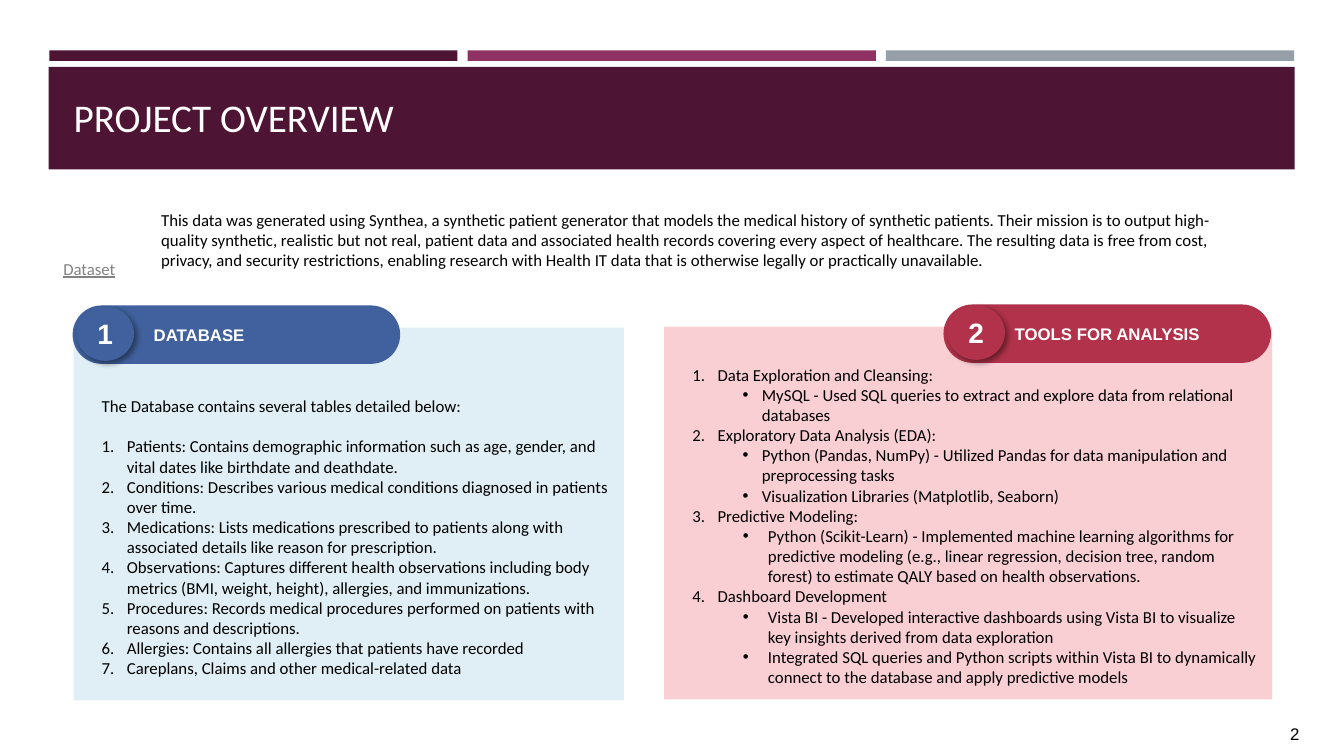
"""Build the project overview slide with its database and tools panels."""
from dataclasses import dataclass

from lxml.etree import SubElement
from pptx import Presentation
from pptx.dml.color import RGBColor
from pptx.enum.shapes import MSO_SHAPE as Shape
from pptx.enum.text import MSO_ANCHOR as Anchor, MSO_AUTO_SIZE as AutoSize, PP_ALIGN as Align
from pptx.oxml.ns import qn
from pptx.util import Pt

PLUM = RGBColor(0x4D, 0x14, 0x34)
MAGENTA = RGBColor(0x90, 0x31, 0x63)
STEEL = RGBColor(0x96, 0x9F, 0xA7)
BLUE = RGBColor(0x40, 0x61, 0x9D)
PALE_BLUE = RGBColor(0xE0, 0xEF, 0xF5)
RED = RGBColor(0xB2, 0x32, 0x4B)
PALE_RED = RGBColor(0xF9, 0xCF, 0xD4)
GREY = RGBColor(0x82, 0x82, 0x82)
BLACK = RGBColor(0, 0, 0)
WHITE = RGBColor(0xFF, 0xFF, 0xFF)


@dataclass(frozen=True)
class Box:
    left: float
    top: float
    width: float
    height: float


@dataclass(frozen=True)
class Item:
    text: str
    marker: str = "number"
    indent: float = 31
    hanging: float = 18
    before: float = 0


@dataclass(frozen=True)
class Panel:
    number: str
    heading: str
    body: Box
    tab_left: float
    heading_align: Align
    heading_inset: float
    bottom_inset: float
    dark: RGBColor
    pale: RGBColor
    items: tuple[Item, ...]


def near_bullet(text: str) -> Item:
    return Item(text, "bullet", 62.64, 13.68)


def far_bullet(text: str) -> Item:
    return Item(text, "bullet", 67, 18)


PANELS = (
    Panel("1", "DATABASE", Box(52.56, 234, 393.12, 266.4), 51.84, Align.LEFT, 51.84, 3.6, BLUE, PALE_BLUE, (
        Item("The Database contains several tables detailed below:", "", 13, 0),
        Item("Patients: Contains demographic information such as age, gender, and vital dates like "
             "birthdate and deathdate.", before=14.6),
        Item("Conditions: Describes various medical conditions diagnosed in patients over time."),
        Item("Medications: Lists medications prescribed to patients along with associated details "
             "like reason for prescription."),
        Item("Observations: Captures different health observations including body metrics (BMI, "
             "weight, height), allergies, and immunizations."),
        Item("Procedures: Records medical procedures performed on patients with reasons and descriptions."),
        Item("Allergies: Contains all allergies that patients have recorded"),
        Item("Careplans, Claims and other medical-related data"),
    )),
    Panel("2", "TOOLS FOR ANALYSIS", Box(474.48, 233.28, 434.16, 266.4), 673.92, Align.CENTER, 2.88, 18, RED, PALE_RED, (
        Item("Data Exploration and Cleansing:"),
        near_bullet("MySQL - Used SQL queries to extract and explore data from relational databases"),
        Item("Exploratory Data Analysis (EDA):"),
        near_bullet("Python (Pandas, NumPy) - Utilized Pandas for data manipulation and preprocessing tasks"),
        near_bullet("Visualization Libraries (Matplotlib, Seaborn)"),
        Item("Predictive Modeling:"),
        far_bullet("Python (Scikit-Learn) - Implemented machine learning algorithms for predictive modeling "
                   "(e.g., linear regression, decision tree, random forest) to estimate QALY based on "
                   "health observations."),
        Item("Dashboard Development"),
        far_bullet("Vista BI - Developed interactive dashboards using Vista BI to visualize key insights "
                   "derived from data exploration"),
        far_bullet("Integrated SQL queries and Python scripts within Vista BI to dynamically connect to "
                   "the database and apply predictive models"),
    )),
)


def place(shape, box: Box) -> None:
    shape.left, shape.top, shape.width, shape.height = map(Pt, (box.left, box.top, box.width, box.height))


def set_insets(frame, left: float, top: float, right: float, bottom: float) -> None:
    frame.margin_left, frame.margin_top = Pt(left), Pt(top)
    frame.margin_right, frame.margin_bottom = Pt(right), Pt(bottom)


def format_runs(paragraph, size: float, font: str, color: RGBColor, bold: bool = False) -> None:
    for run in paragraph.runs:
        run.font.size, run.font.name, run.font.bold = Pt(size), font, bold
        run.font.color.rgb = color


def add_block(slide, kind: Shape, box: Box, fill: RGBColor):
    block = slide.shapes.add_shape(kind, *map(Pt, (box.left, box.top, box.width, box.height)))
    block.shadow.inherit = False
    block.fill.solid()
    block.fill.fore_color.rgb = fill
    block.line.fill.background()
    return block


def add_label(block, text: str, size: float, align: Align, left_inset: float) -> None:
    frame = block.text_frame
    set_insets(frame, left_inset, 1.44, 2.88, 1.44)
    frame.vertical_anchor = Anchor.MIDDLE
    frame.text = text
    frame.paragraphs[0].alignment = align
    format_runs(frame.paragraphs[0], size, "Arial", WHITE, True)


def add_text(slide, box: Box, text: str, font: str, color: RGBColor):
    textbox = slide.shapes.add_textbox(*map(Pt, (box.left, box.top, box.width, box.height)))
    textbox.text_frame.word_wrap = True
    textbox.text_frame.text = text
    format_runs(textbox.text_frame.paragraphs[0], 12, font, color)
    return textbox


def add_soft_shadow(block) -> None:
    effects = block.element.spPr.find(qn("a:effectLst"))
    shadow = SubElement(effects, qn("a:outerShdw"), blurRad=str(Pt(4)), dist=str(Pt(3)),
                        dir="2700000", algn="tl", rotWithShape="0")
    color = SubElement(shadow, qn("a:srgbClr"), val=str(BLACK))
    SubElement(color, qn("a:alpha"), val="40000")


def fill_item(paragraph, item: Item) -> None:
    paragraph.text = item.text
    paragraph.alignment = Align.LEFT
    paragraph.level = int(item.marker == "bullet")
    if item.before:
        paragraph.space_before = Pt(item.before)
    properties = paragraph._p.get_or_add_pPr()
    properties.set("marL", str(Pt(item.indent)))
    properties.set("indent", str(-Pt(item.hanging)))
    if item.marker:
        color = SubElement(properties, qn("a:buClr"))
        SubElement(color, qn("a:srgbClr"), val=str(BLACK))
        SubElement(properties, qn("a:buFont"), typeface="Arial" if item.marker == "bullet" else "+mj-lt")
    if item.marker == "bullet":
        SubElement(properties, qn("a:buChar"), char="•")
    elif item.marker == "number":
        SubElement(properties, qn("a:buAutoNum"), type="arabicPeriod")
    format_runs(paragraph, 12, "Calibri", BLACK)


def add_panel(slide, panel: Panel) -> None:
    body = add_block(slide, Shape.RECTANGLE, panel.body, panel.pale)
    frame = body.text_frame
    frame.word_wrap = True
    frame.vertical_anchor = Anchor.MIDDLE
    set_insets(frame, 7.2, 36, 7.2, panel.bottom_inset)
    for index, item in enumerate(panel.items):
        fill_item(frame.add_paragraph() if index else frame.paragraphs[0], item)
    tab_top = panel.body.top - 15.84
    tab = add_block(slide, Shape.ROUNDED_RECTANGLE, Box(panel.tab_left, tab_top, 234, 41.76), panel.dark)
    tab.adjustments[0] = 0.5
    add_label(tab, panel.heading, 12, panel.heading_align, panel.heading_inset)
    badge = add_block(slide, Shape.OVAL, Box(panel.tab_left + 2.88, tab_top + 0.72, 41.04, 38.88), panel.dark)
    add_soft_shadow(badge)
    add_label(badge, panel.number, 20, Align.CENTER, 2.88)


def main() -> None:
    deck = Presentation()
    deck.slide_width, deck.slide_height = Pt(960), Pt(540)
    slide = deck.slides.add_slide(deck.slide_layouts[5])
    for index, color in enumerate((PLUM, MAGENTA, STEEL)):
        add_block(slide, Shape.RECTANGLE, Box(35.2 + 298.8 * index, 36, 291.6, 7.5), color)
    add_block(slide, Shape.RECTANGLE, Box(34.8, 47.7, 889.9, 99.36), PLUM)

    title = slide.shapes.title
    title.element.getparent().append(title.element)
    place(title, Box(45.36, 57.6, 868.32, 77.76))
    heading = title.text_frame
    heading.text = "PROJECT OVERVIEW"
    heading.auto_size = AutoSize.NONE
    heading.vertical_anchor = Anchor.TOP
    set_insets(heading, 7.2, 9, 7.2, 3.6)
    heading.paragraphs[0].alignment = Align.LEFT
    format_runs(heading.paragraphs[0], 28, "Calibri", WHITE)

    add_block(slide, Shape.RECTANGLE, Box(23.76, 120.96, 910.08, 31.68), WHITE)
    add_text(slide, Box(108, 146.16, 776.88, 51.12),
             "This data was generated using Synthea, a synthetic patient generator that models the medical "
             "history of synthetic patients. Their mission is to output high-quality synthetic, realistic but "
             "not real, patient data and associated health records covering every aspect of healthcare. The "
             "resulting data is free from cost, privacy, and security restrictions, enabling research with "
             "Health IT data that is otherwise legally or practically unavailable.", "Calibri", BLACK)
    for panel in PANELS:
        add_panel(slide, panel)
    dataset = add_text(slide, Box(38.16, 176.4, 103.68, 31.68), "Dataset", "Calibri", GREY)
    set_insets(dataset.text_frame, 7.2, 9.5, 7.2, 7.2)
    dataset.text_frame.paragraphs[0].runs[0].font.underline = True
    add_text(slide, Box(914.4, 513.36, 36, 21.6), "2", "Arial", BLACK)
    deck.save("out.pptx")


if __name__ == "__main__":
    main()
